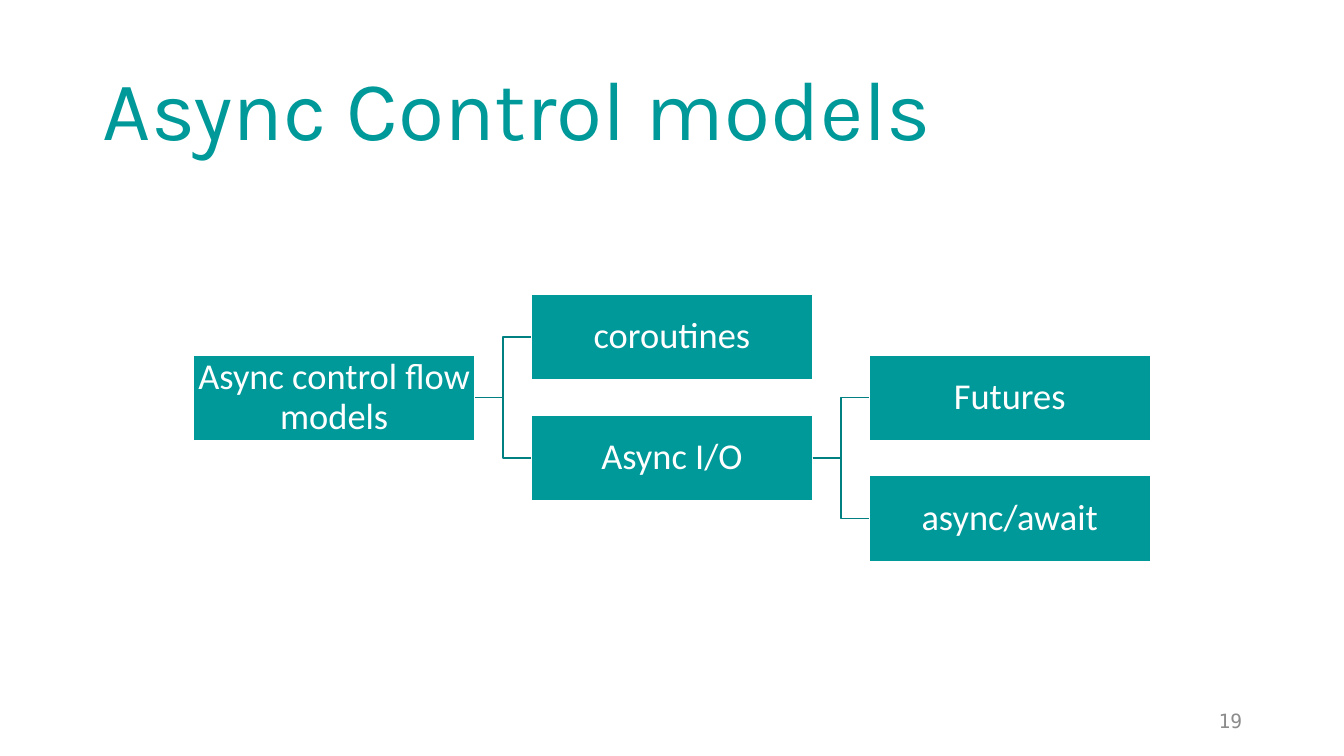
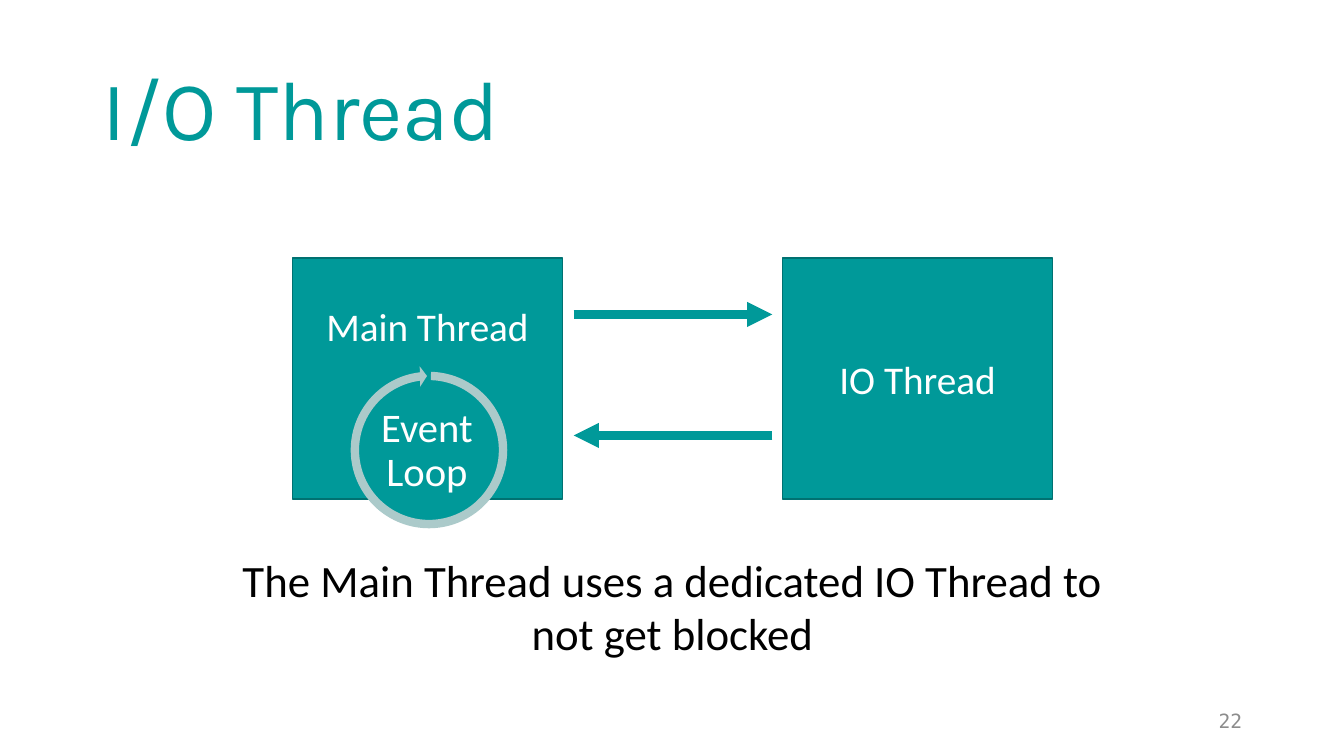
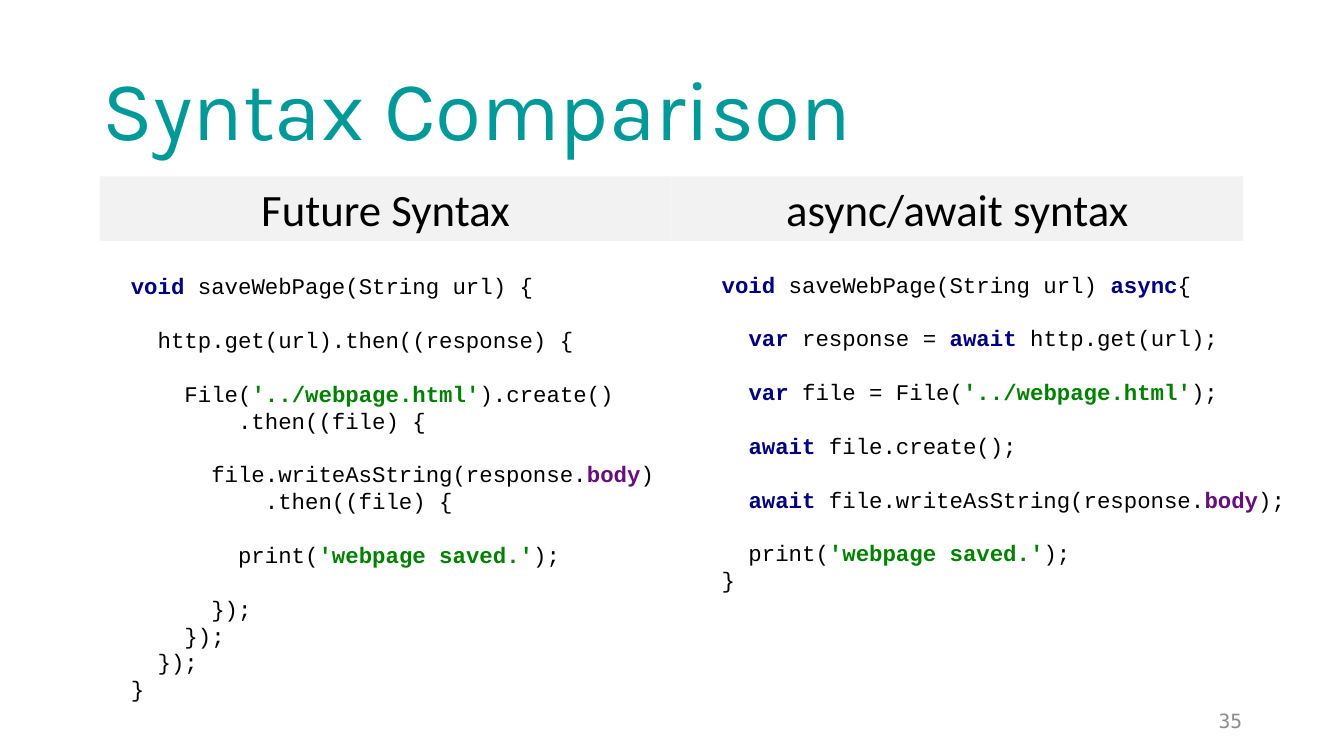
from dataclasses import dataclass

from lxml.etree import SubElement
from pptx import Presentation
from pptx.dml.color import RGBColor
from pptx.enum.shapes import MSO_CONNECTOR as Link, MSO_SHAPE as Shape
from pptx.enum.text import MSO_ANCHOR as Anchor, PP_ALIGN as Align
from pptx.oxml.ns import qn
from pptx.util import Inches, Pt


@dataclass(frozen=True)
class Theme:
    teal: str = "009999"
    teal_dark: str = "007171"
    teal_link: str = "008080"
    teal_pale: str = "ABCACA"
    white: str = "FFFFFF"
    black: str = "000000"
    band: str = "F2F2F2"
    gray: str = "8C8C8C"
    keyword: str = "000080"
    string: str = "008000"
    member: str = "660E7A"
    title_font: str = "Karla"
    body_font: str = "Calibri"
    code_font: str = "Courier New"
    number_font: str = "DejaVu Sans Mono"
    title_size: int = 60
    heading_size: int = 32
    loop_size: int = 29
    label_size: int = 28
    node_size: int = 26
    code_size: int = 16
    number_size: int = 14
    code_pitch: float = 19.2


THEME = Theme()

TOKEN_COLORS = {
    "void ": THEME.keyword,
    "async": THEME.keyword,
    "var ": THEME.keyword,
    "await ": THEME.keyword,
    "'../webpage.html'": THEME.string,
    "'webpage saved.'": THEME.string,
    "body": THEME.member,
}

FUTURE_CODE = """void saveWebPage(String url) {

  http.get(url).then((response) {

    File('../webpage.html').create()
        .then((file) {

      file.writeAsString(response.body)
          .then((file) {

        print('webpage saved.');

      });
    });
  });
}"""

AWAIT_CODE = """void saveWebPage(String url) async{

  var response = await http.get(url);

  var file = File('../webpage.html');

  await file.create();

  await file.writeAsString(response.body);

  print('webpage saved.');
}"""


def color(value):
    return RGBColor.from_string(value)


def inches(area):
    return [Inches(length) for length in area]


def style(para, size, ink, font=THEME.body_font, align=Align.CENTER, spacing=None):
    para.alignment = align
    para.line_spacing = spacing
    para.font.name = font
    para.font.size = Pt(size)
    para.font.color.rgb = color(ink)


def write(box, text, size, ink, anchor=Anchor.MIDDLE, margins=(0.1, 0.05), **look):
    frame = box.text_frame
    frame.word_wrap = True
    frame.vertical_anchor = anchor
    frame.margin_left = frame.margin_right = Inches(margins[0])
    frame.margin_top = frame.margin_bottom = Inches(margins[1])
    para = frame.paragraphs[0]
    para.text = text
    style(para, size, ink, **look)
    return para


def add_label(page, area, *text, **look):
    write(page.shapes.add_textbox(*inches(area)), *text, **look)


def add_block(page, area, fill, line=None, kind=Shape.RECTANGLE):
    block = page.shapes.add_shape(kind, *inches(area))
    block.shadow.inherit = False
    block.fill.solid()
    block.fill.fore_color.rgb = color(fill)
    if line:
        block.line.color.rgb = color(line)
        block.line.width = Pt(1)
    else:
        block.line.fill.background()
    return block


def add_link(page, kind, ends, ink, width):
    link = page.shapes.add_connector(kind, *inches(ends))
    link.line.color.rgb = color(ink)
    link.line.width = Pt(width)
    SubElement(link._element.spPr, qn("a:effectLst"))
    return link


def add_arrow(page, start, end, level):
    arrow = add_link(page, Link.STRAIGHT, (start, level, end, level), THEME.teal, 6)
    SubElement(arrow.line._get_or_add_ln(), qn("a:tailEnd"), type="triangle")


def add_code(page, area, code):
    para = write(add_block(page, area, THEME.white), "", THEME.code_size, THEME.black,
                 font=THEME.code_font, align=Align.LEFT, spacing=Pt(THEME.code_pitch))
    for index, line in enumerate(code.split("\n")):
        if index:
            para.add_line_break()
        for token in TOKEN_COLORS:
            line = line.replace(token, f"\t{token}\t")
        for piece in filter(None, line.split("\t")):
            span = para.add_run()
            span.text = piece
            span.font.bold = piece in TOKEN_COLORS
            span.font.color.rgb = color(TOKEN_COLORS.get(piece, THEME.black))


def add_page(deck, title, number):
    page = deck.slides.add_slide(deck.slide_layouts[5])
    heading = page.shapes.title
    heading.left, heading.top, heading.width, heading.height = inches((0.92, 0.4, 11.5, 1.45))
    write(heading, title, THEME.title_size, THEME.teal,
          font=THEME.title_font, align=Align.LEFT, spacing=0.9)
    add_label(page, (9.42, 6.95, 3, 0.4), str(number), THEME.number_size, THEME.gray,
              font=THEME.number_font, align=Align.RIGHT)
    return page


def build_models(deck):
    page = add_page(deck, "Async Control models", 19)
    left, top, column, row = 1.92, 2.92, 3.35, 0.6
    places = {
        "Async control flow models": (0, 1),
        "coroutines": (1, 0),
        "Async I/O": (1, 2),
        "Futures": (2, 1),
        "async/await": (2, 3),
    }
    branches = {
        "Async control flow models": ("coroutines", "Async I/O"),
        "Async I/O": ("Futures", "async/await"),
    }
    nodes = {}
    for name, (across, down) in places.items():
        area = (left + across * column, top + down * row, 2.79, 0.85)
        nodes[name] = add_block(page, area, THEME.teal, THEME.white)
        write(nodes[name], name, THEME.node_size, THEME.white,
              margins=(0.02, 0.02), spacing=0.9)
    for parent, children in branches.items():
        for child in children:
            link = add_link(page, Link.ELBOW, (0, 0, 0, 0), THEME.teal_link, 1)
            link.begin_connect(nodes[parent], 3)
            link.end_connect(nodes[child], 1)


def build_threads(deck):
    page = add_page(deck, "I/O Thread", 22)
    top, width, height = 2.56, 2.68, 2.39
    threads = (
        ("Main Thread", 2.9, Anchor.TOP, 0.44),
        ("IO Thread", 7.76, Anchor.MIDDLE, 0.05),
    )
    for name, left, anchor, margin in threads:
        block = add_block(page, (left, top, width, height), THEME.teal, THEME.teal_dark)
        write(block, name, THEME.label_size, THEME.white, anchor=anchor, margins=(0.1, margin))
    add_arrow(page, 5.69, 7.66, 3.12)
    add_arrow(page, 7.66, 5.69, 4.32)

    loop = add_block(page, (3.49, 3.73, 1.49, 1.49), THEME.teal, THEME.teal, Shape.OVAL)
    write(loop, "Event Loop", THEME.loop_size, THEME.white, margins=(0.04, 0.04), spacing=0.9)
    ring = add_block(page, (3.42, 3.63, 1.67, 1.67), THEME.teal_pale, kind=Shape.CIRCULAR_ARROW)
    for index, value in enumerate((0.05, 3.28, 157.81, 162.91, 0.06)):
        ring.adjustments[index] = value

    add_label(page, (2, 5.43, 9.34, 1.18),
              "The Main Thread uses a dedicated IO Thread to not get blocked",
              THEME.heading_size, THEME.black, anchor=Anchor.TOP)


def build_syntax(deck):
    page = add_page(deck, "Syntax Comparison", 35)
    left, width = 0.99, 5.67
    samples = (
        ("Future Syntax", FUTURE_CODE, (1.2, 2.63, 5.47, 4.41)),
        ("async/await syntax", AWAIT_CODE, (7.06, 2.62, 5.87, 3.33)),
    )
    for index, (name, code, area) in enumerate(samples):
        band = add_block(page, (left + index * width, 1.75, width, 0.64), THEME.band)
        write(band, name, THEME.heading_size, THEME.black)
        add_code(page, area, code)


def main():
    deck = Presentation()
    deck.slide_width, deck.slide_height = Inches(13.33), Inches(7.5)
    for build in (build_models, build_threads, build_syntax):
        build(deck)
    deck.save("out.pptx")


if __name__ == "__main__":
    main()
